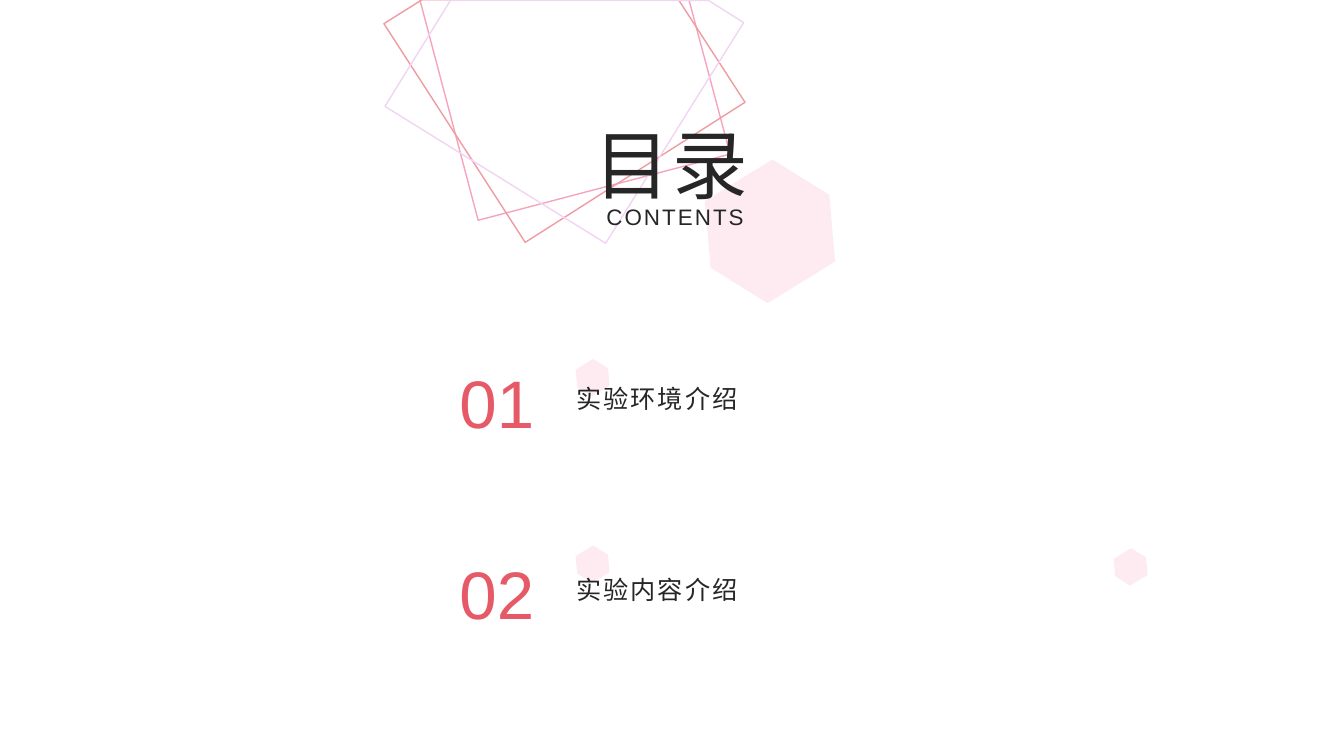
from math import cos, radians, sin

from lxml.etree import SubElement
from pptx import Presentation
from pptx.dml.color import RGBColor
from pptx.enum.shapes import MSO_SHAPE
from pptx.enum.text import MSO_ANCHOR, MSO_AUTO_SIZE, PP_ALIGN
from pptx.oxml.ns import qn
from pptx.util import Cm, Pt

INK = RGBColor(0x26, 0x26, 0x26)
RED = RGBColor(0xE6, 0x59, 0x66)
PINK = RGBColor(0xF6, 0xA4, 0xBD)
CORAL = RGBColor(0xF0, 0x9B, 0xA3)
LILAC = RGBColor(0xF2, 0xD4, 0xF3)

OUTLINES = [
    (PINK, 165.3, (14.47, 1.94),
     [(10.54, 0), (17.32, 0), (18.36, 3.89), (12.01, 5.56)]),
    (CORAL, 147.3, (14.21, 1.59),
     [(10.62, 0), (17.07, 0), (18.75, 2.59), (13.21, 6.12), (9.65, 0.61)]),
    (LILAC, 121.9, (14.21, 1.61),
     [(11.33, 0), (17.83, 0), (18.72, 0.56), (15.24, 6.12), (9.68, 2.67)]),
]
CHAPTERS = ["实验环境介绍", "实验内容介绍"]
CHAPTER_TOP = 8.97
CHAPTER_STEP = 4.82
LARGE_HEXAGON = (17.65, 4.32, 3.51, 3.02)
SMALL_HEXAGONS = [(28.04, 13.89), (14.48, 9.12), (14.48, 13.82)]


class ContentsPage:
    font = "Arial"
    hexagon_turn = 328.4
    hexagon_opacity = 21

    def __init__(self, deck):
        self.page = deck.slides.add_slide(deck.slide_layouts[5])

    def outline(self, color, turn, center, corners):
        angle = radians(-turn)
        center_x, center_y = center
        points = []
        for x, y in corners:
            across, down = x - center_x, y - center_y
            points.append((Cm(center_x + across * cos(angle) - down * sin(angle)),
                           Cm(center_y + across * sin(angle) + down * cos(angle))))
        builder = self.page.shapes.build_freeform(*points[0])
        builder.add_line_segments(points[1:], close=True)
        shape = builder.convert_to_shape()
        shape.rotation = turn
        shape.shadow.inherit = False
        shape.fill.background()
        shape.line.color.rgb = color
        shape.line.width = Pt(1)

    def hexagon(self, left, top, width=0.91, height=0.79):
        shape = self.page.shapes.add_shape(
            MSO_SHAPE.HEXAGON, Cm(left), Cm(top), Cm(width), Cm(height))
        shape.rotation = self.hexagon_turn
        shape.shadow.inherit = False
        shape.line.fill.background()
        shape.fill.solid()
        shape.fill.fore_color.rgb = PINK
        color = shape._element.spPr.find(".//" + qn("a:srgbClr"))
        SubElement(color, qn("a:alpha"), val=str(self.hexagon_opacity * 1000))

    def title(self, words, *place):
        box = self.page.shapes.title
        self.page.shapes._spTree.append(box._element)
        self.fill_box(box, words, place, 54, INK, 1.5, PP_ALIGN.CENTER)

    def text(self, words, *place, size, color=INK, spacing=1.5, align=PP_ALIGN.LEFT):
        box = self.page.shapes.add_textbox(0, 0, 0, 0)
        self.fill_box(box, words, place, size, color, spacing, align)

    def fill_box(self, box, words, place, size, color, spacing, align):
        box.left, box.top, box.width, box.height = map(Cm, place)
        frame = box.text_frame
        frame.text = words
        frame.word_wrap = True
        frame.auto_size = MSO_AUTO_SIZE.NONE
        frame.vertical_anchor = MSO_ANCHOR.TOP
        para = frame.paragraphs[0]
        para.alignment = align
        span = para.runs[0]
        span.font.name = self.font
        span.font.size = Pt(size)
        span.font.color.rgb = color
        span.font._element.set("spc", str(int(spacing * 100)))


def main():
    deck = Presentation()
    deck.slide_width, deck.slide_height = Cm(33.87), Cm(19.05)
    contents = ContentsPage(deck)
    for outline in OUTLINES:
        contents.outline(*outline)
    contents.hexagon(*LARGE_HEXAGON)
    for place in SMALL_HEXAGONS:
        contents.hexagon(*place)
    contents.text("CONTENTS", 14.27, 5, 5.49, 0.94, size=16, align=PP_ALIGN.CENTER)
    contents.title("目录", 14.27, 2.84, 5.31, 2.57)
    for index, chapter in enumerate(CHAPTERS):
        top = CHAPTER_TOP + index * CHAPTER_STEP
        contents.text(f"{index + 1:02}", 11.33, top, 2.41, 2.31,
                      size=48, color=RED, spacing=0)
        contents.text(chapter, 14.27, top + 0.56, 10.46, 1.14, size=18)
    deck.save("out.pptx")


if __name__ == "__main__":
    main()
